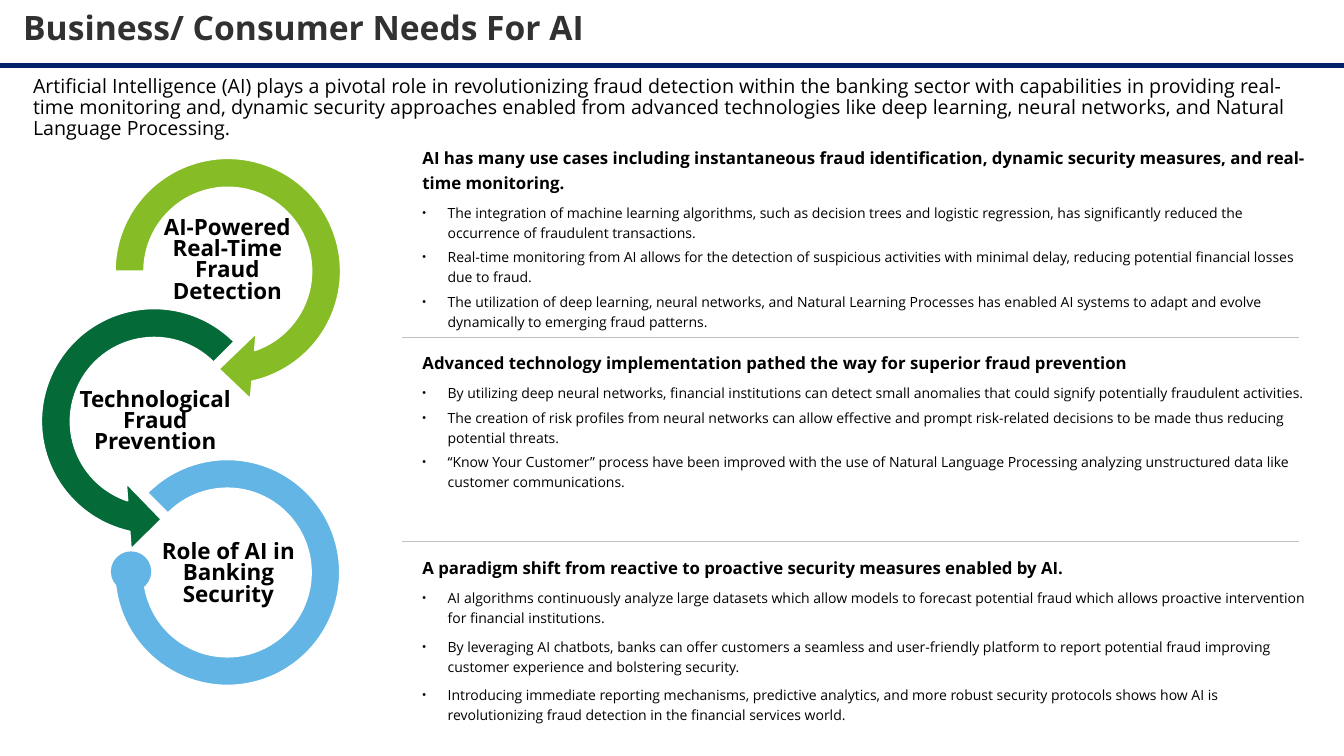
from lxml.etree import SubElement
from pptx import Presentation
from pptx.dml.color import RGBColor
from pptx.enum.shapes import MSO_CONNECTOR, MSO_SHAPE
from pptx.enum.text import MSO_ANCHOR, PP_ALIGN
from pptx.oxml.ns import qn
from pptx.util import Inches, Pt

FONT = "Open Sans"
BLACK = "000000"
SLIDE_WIDTH = 13.33

TITLE = "Business/ Consumer Needs For AI"
INTRODUCTION = (
    "Artificial Intelligence (AI) plays a pivotal role in revolutionizing fraud detection within the "
    "banking sector with capabilities in providing real-time monitoring and, dynamic security approaches "
    "enabled from advanced technologies like deep learning, neural networks, and Natural Language Processing."
)

# Each section: top, height, space before later bullets, heading, bullets
SECTIONS = [
    (1.43, 2.33, 3,
     "AI has many use cases including instantaneous fraud identification, dynamic security measures, "
     "and real-time monitoring.",
     ["The integration of machine learning algorithms, such as decision trees and logistic regression, "
      "has significantly reduced the occurrence of fraudulent transactions.",
      "Real-time monitoring from AI allows for the detection of suspicious activities with minimal delay, "
      "reducing potential financial losses due to fraud.",
      "The utilization of deep learning, neural networks, and Natural Learning Processes has enabled "
      "AI systems to adapt and evolve dynamically to emerging fraud patterns."]),
    (3.46, 1.64, 3,
     "Advanced technology implementation pathed the way for superior fraud prevention",
     ["By utilizing deep neural networks, financial institutions can detect small anomalies that could "
      "signify potentially fraudulent activities.",
      "The creation of risk profiles from neural networks can allow effective and prompt risk-related "
      "decisions to be made thus reducing potential threats.",
      "“Know Your Customer” process have been improved with the use of Natural Language Processing "
      "analyzing unstructured data like customer communications."]),
    (5.49, 1.94, 6,
     "A paradigm shift from reactive to proactive security measures enabled by AI.",
     ["AI algorithms continuously analyze large datasets which allow models to forecast potential fraud "
      "which allows proactive intervention for financial institutions.",
      "By leveraging AI chatbots, banks can offer customers a seamless and user-friendly platform to "
      "report potential fraud improving customer experience and bolstering security.",
      "Introducing immediate reporting mechanisms, predictive analytics, and more robust security "
      "protocols shows how AI is revolutionizing fraud detection in the financial services world."]),
]

RINGS = [
    (MSO_SHAPE.CIRCULAR_ARROW, (0.96, 1.39, 2.6, 2.6), "86BC25", [0.11, 12.04, 45, 108, 0.125]),
    (MSO_SHAPE.LEFT_CIRCULAR_ARROW, (0.23, 2.88, 2.6, 2.6), "046A38", [0.11, 11.42, 63, 189, 0.125]),
    (MSO_SHAPE.BLOCK_ARC, (1.14, 4.56, 2.23, 2.24), "62B5E5", [135, 108, 0.127]),
]

LABELS = [
    ("AI-Powered Real-Time Fraud Detection", (1.52, 2.31, 1.47, 0.56)),
    ("Technological Fraud Prevention", (0.69, 3.84, 1.7, 0.69)),
    ("Role of AI in Banking Security", (1.54, 5.34, 1.45, 0.72)),
]


def color(value):
    """Turn a hex string into a colour."""
    return RGBColor.from_string(value)


def add_text_frame(slide, box, side_margin=0.0, top_margin=0.0):
    """Add a wrapping text box and return its text frame."""
    frame = slide.shapes.add_textbox(*map(Inches, box)).text_frame
    frame.word_wrap = True
    frame.margin_left = frame.margin_right = Inches(side_margin)
    frame.margin_top = frame.margin_bottom = Inches(top_margin)
    return frame


def write(paragraph, text, size, bold=False, hue=BLACK, spacing=0.9, before=0):
    """Fill a paragraph and format its runs."""
    paragraph.text = text
    paragraph.line_spacing = spacing
    paragraph.space_before = Pt(before)
    for run in paragraph.runs:
        run.font.name = FONT
        run.font.size = Pt(size)
        run.font.bold = bold
        run.font.color.rgb = color(hue)


def add_bullet(paragraph):
    """Give a paragraph a small hanging bullet."""
    properties = paragraph._p.get_or_add_pPr()
    properties.set("marL", str(Inches(0.25)))
    properties.set("indent", str(-Inches(0.25)))
    bullet_color = SubElement(properties, qn("a:buClr"))
    SubElement(bullet_color, qn("a:srgbClr"), val=BLACK)
    SubElement(properties, qn("a:buSzPct"), val="75000")
    SubElement(properties, qn("a:buFont"), typeface="Arial")
    SubElement(properties, qn("a:buChar"), char="•")


def add_section(slide, top, height, gap, heading, bullets):
    """Add a bold heading with its bullets."""
    frame = add_text_frame(slide, (4.19, top, 8.79, height))
    write(frame.paragraphs[0], heading, 12, bold=True, spacing=1.2, before=6)
    for index, text in enumerate(bullets):
        paragraph = frame.add_paragraph()
        write(paragraph, text, 10, spacing=1.2, before=gap if index else 6)
        add_bullet(paragraph)


def add_filled_shape(slide, kind, box, fill, adjustments=(), outline=None):
    """Add a preset shape with a plain fill and an optional outline."""
    shape = slide.shapes.add_shape(kind, *map(Inches, box))
    shape.shadow.inherit = False
    shape.fill.solid()
    shape.fill.fore_color.rgb = color(fill)
    for index, value in enumerate(adjustments):
        shape.adjustments[index] = value
    if outline:
        shape.line.color.rgb = color(outline)
        shape.line.width = Pt(1)
    else:
        shape.line.fill.background()


def add_label(slide, text, box):
    """Add a centred bold label inside a ring."""
    frame = add_text_frame(slide, box, 0.01, 0.01)
    frame.vertical_anchor = MSO_ANCHOR.MIDDLE
    write(frame.paragraphs[0], text, 16, bold=True, spacing=0.79)
    frame.paragraphs[0].alignment = PP_ALIGN.CENTER


def add_rule(slide, left, right, top, hue, width):
    """Add a horizontal line."""
    line = slide.shapes.add_connector(
        MSO_CONNECTOR.STRAIGHT, Inches(left), Inches(top), Inches(right), Inches(top))
    line.line.color.rgb = color(hue)
    line.line.width = Pt(width)
    SubElement(line._element.spPr, qn("a:effectLst"))


def main():
    """Build the slide and save it."""
    presentation = Presentation()
    presentation.slide_width = Inches(SLIDE_WIDTH)
    presentation.slide_height = Inches(7.5)
    slide = presentation.slides.add_slide(presentation.slide_layouts[6])

    for section in SECTIONS:
        add_section(slide, *section)
    for kind, box, fill, adjustments in RINGS:
        add_filled_shape(slide, kind, box, fill, adjustments, "FFFFFF")
    add_filled_shape(slide, MSO_SHAPE.OVAL, (1.1, 5.47, 0.4, 0.4), "62B5E5")
    for text, box in LABELS:
        add_label(slide, text, box)
    for top in (3.35, 5.37):
        add_rule(slide, 3.99, 12.88, top, "BFBFBF", 0.75)

    introduction = add_text_frame(slide, (0.23, 0.71, 12.86, 0.81), 0.1, 0.05)
    write(introduction.paragraphs[0], INTRODUCTION, 14)
    title = add_text_frame(slide, (0.23, 0.11, 13.1, 0.4))
    write(title.paragraphs[0], TITLE, 24, bold=True, hue="313131", before=6)
    add_rule(slide, 0, SLIDE_WIDTH, 0.65, "012169", 4)

    presentation.save("out.pptx")


if __name__ == "__main__":
    main()
